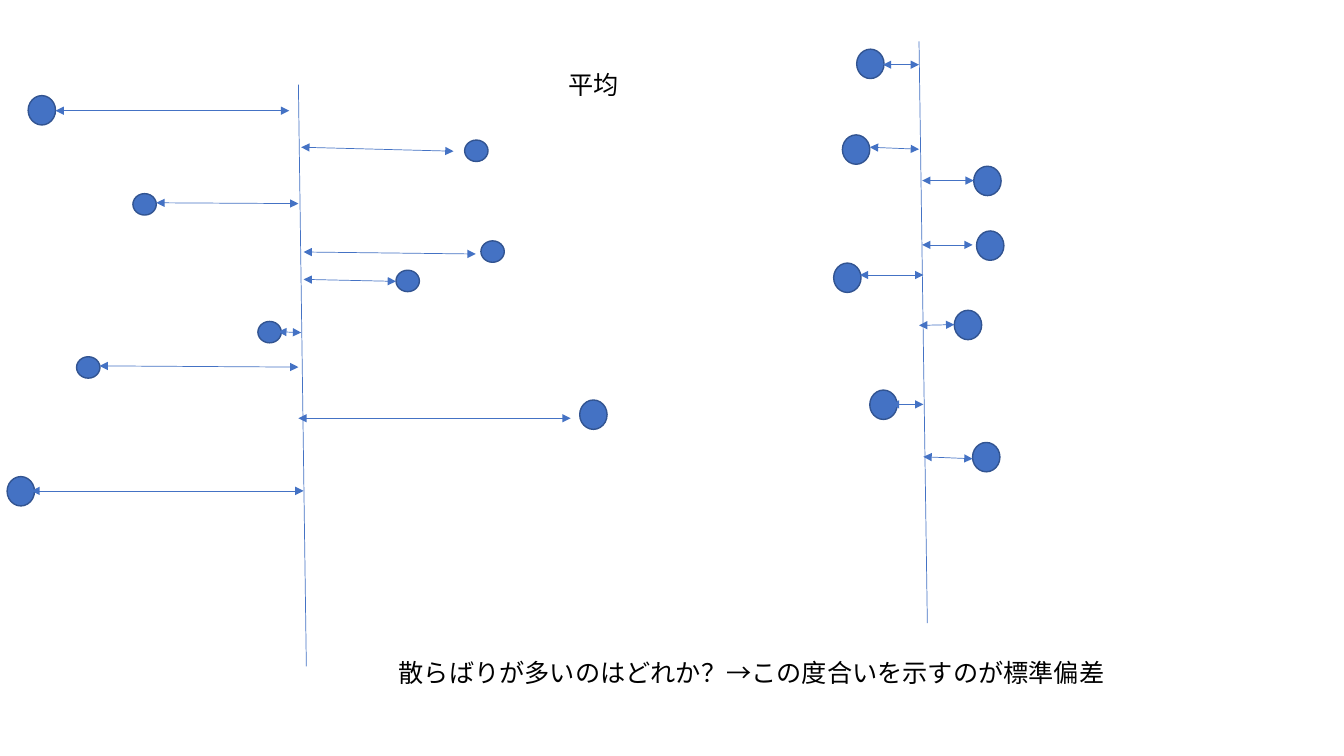
"""Build a slide comparing how far two sets of dots scatter around their mean."""
from typing import NamedTuple

from lxml import etree
from pptx import Presentation
from pptx.dml.color import RGBColor
from pptx.enum.shapes import MSO_CONNECTOR, MSO_SHAPE
from pptx.enum.text import MSO_AUTO_SIZE
from pptx.oxml.ns import qn
from pptx.shapes.shapetree import SlideShapes
from pptx.util import Cm, Pt

STRAIGHT = MSO_CONNECTOR.STRAIGHT
OVAL = MSO_SHAPE.OVAL
FIT_TEXT = MSO_AUTO_SIZE.SHAPE_TO_FIT_TEXT
BLUE = RGBColor(0x44, 0x72, 0xC4)
DARK_BLUE = RGBColor(0x32, 0x54, 0x91)
BLACK = RGBColor(0, 0, 0)
FONT = "Noto Sans CJK JP"


class Size(NamedTuple):
    width: float
    height: float


class Span(NamedTuple):
    x1: float
    y1: float
    x2: float
    y2: float


class Deviation(NamedTuple):
    left: float
    top: float
    dot: Size
    arrow: Span


class Caption(NamedTuple):
    left: float
    top: float
    width: float
    text: str


SMALL = Size(0.59, 0.54)
LARGE = Size(0.69, 0.74)
CAPTION_HEIGHT = 1.02

MEAN_LINES = [Span(7.52, 2.13, 7.72, 16.79), Span(23.16, 1.04, 23.37, 15.7)]

WIDE_SCATTER = [
    Deviation(0.71, 2.41, LARGE, Span(1.4, 2.79, 7.29, 2.79)),
    Deviation(11.71, 3.53, SMALL, Span(7.59, 3.71, 11.43, 3.81)),
    Deviation(3.35, 4.88, SMALL, Span(3.94, 5.11, 7.52, 5.13)),
    Deviation(12.12, 6.07, SMALL, Span(7.65, 6.35, 11.99, 6.4)),
    Deviation(9.98, 6.81, SMALL, Span(7.65, 7.04, 9.98, 7.09)),
    Deviation(6.5, 8.1, SMALL, Span(7.01, 8.36, 7.59, 8.38)),
    Deviation(1.93, 8.99, SMALL, Span(2.51, 9.22, 7.52, 9.25)),
    Deviation(14.61, 10.08, LARGE, Span(7.52, 10.54, 14.38, 10.54)),
    Deviation(0.18, 12.01, LARGE, Span(0.79, 12.37, 7.65, 12.37)),
]
NARROW_SCATTER = [
    Deviation(21.59, 1.24, LARGE, Span(22.25, 1.63, 23.16, 1.63)),
    Deviation(21.23, 3.4, LARGE, Span(21.92, 3.71, 23.16, 3.76)),
    Deviation(24.54, 4.19, LARGE, Span(23.24, 4.55, 24.54, 4.55)),
    Deviation(24.61, 5.82, LARGE, Span(23.24, 6.17, 24.51, 6.17)),
    Deviation(21.01, 6.63, LARGE, Span(21.67, 6.93, 23.27, 6.93)),
    Deviation(24.05, 7.82, LARGE, Span(23.16, 8.2, 24.05, 8.18)),
    Deviation(21.92, 9.83, LARGE, Span(22.45, 10.19, 23.27, 10.19)),
    Deviation(24.51, 11.15, LARGE, Span(23.27, 11.51, 24.51, 11.56)),
]
CAPTIONS = [
    Caption(14.07, 1.63, 1.8, "平均"),
    Caption(9.8, 16.43, 18.47, "散らばりが多いのはどれか？→この度合いを示すのが標準偏差"),
]


def draw_line(shapes: SlideShapes, span: Span, arrowheads: bool = False) -> None:
    line = shapes.add_connector(STRAIGHT, *(Cm(value) for value in span))
    line.line.color.rgb = BLUE
    line.line.width = Pt(0.5)
    properties = line.element.spPr
    if arrowheads:
        outline = properties.find(qn("a:ln"))
        for end in ("a:headEnd", "a:tailEnd"):
            etree.SubElement(outline, qn(end), type="triangle")
    etree.SubElement(properties, qn("a:effectLst"))


def draw_deviation(shapes: SlideShapes, deviation: Deviation) -> None:
    dot = shapes.add_shape(OVAL, Cm(deviation.left), Cm(deviation.top),
                           Cm(deviation.dot.width), Cm(deviation.dot.height))
    dot.shadow.inherit = False
    dot.fill.solid()
    dot.fill.fore_color.rgb = BLUE
    dot.line.color.rgb = DARK_BLUE
    dot.line.width = Pt(1)
    draw_line(shapes, deviation.arrow, arrowheads=True)


def draw_caption(shapes: SlideShapes, caption: Caption) -> None:
    box = shapes.add_textbox(Cm(caption.left), Cm(caption.top),
                             Cm(caption.width), Cm(CAPTION_HEIGHT))
    frame = box.text_frame
    frame.word_wrap = False
    frame.auto_size = FIT_TEXT
    run = frame.paragraphs[0].add_run()
    run.text = caption.text
    for attribute, value in {"size": Pt(18), "name": FONT}.items():
        setattr(run.font, attribute, value)
    run.font.color.rgb = BLACK
    etree.SubElement(run.font._element, qn("a:ea"), typeface=FONT)


def main() -> None:
    presentation = Presentation()
    presentation.slide_width = Cm(33.87)
    presentation.slide_height = Cm(19.05)
    shapes = presentation.slides.add_slide(presentation.slide_layouts[6]).shapes
    for mean_line in MEAN_LINES:
        draw_line(shapes, mean_line)
    for deviation in WIDE_SCATTER + NARROW_SCATTER:
        draw_deviation(shapes, deviation)
    for caption in CAPTIONS:
        draw_caption(shapes, caption)
    presentation.save("out.pptx")


if __name__ == "__main__":
    main()
